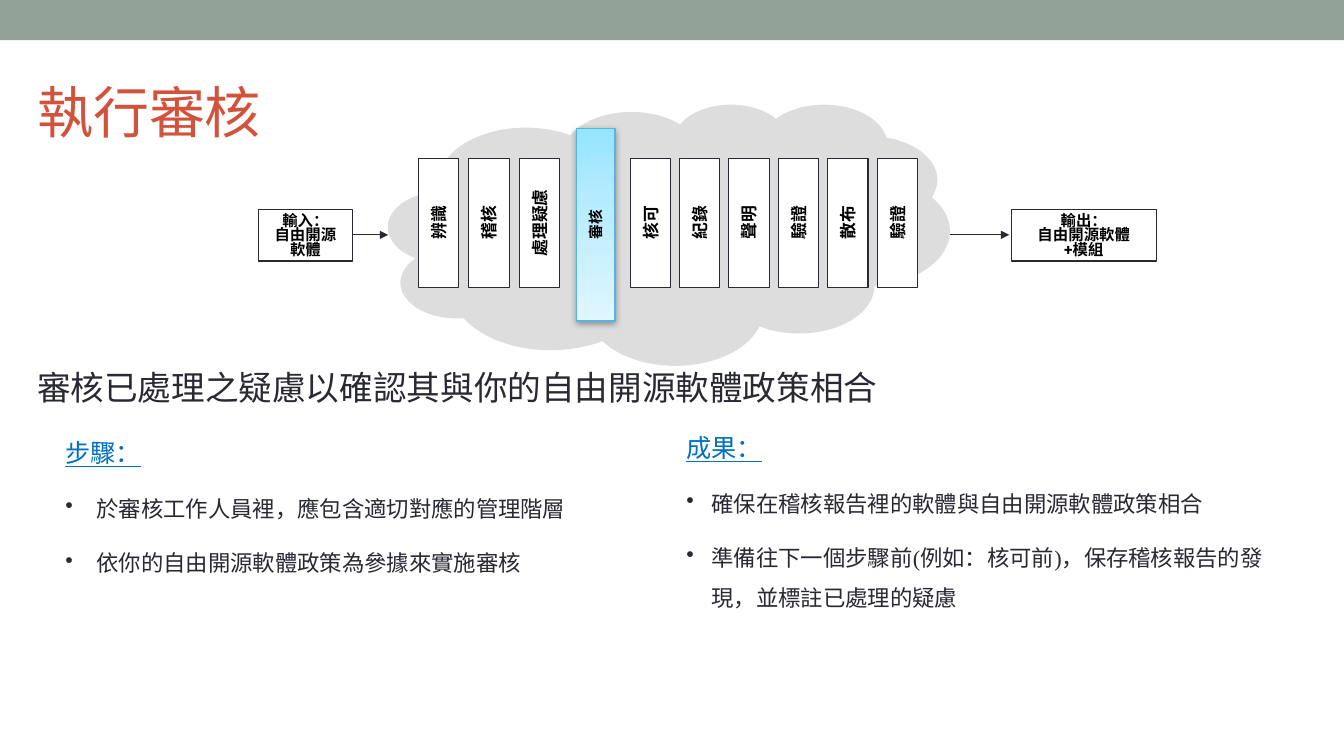
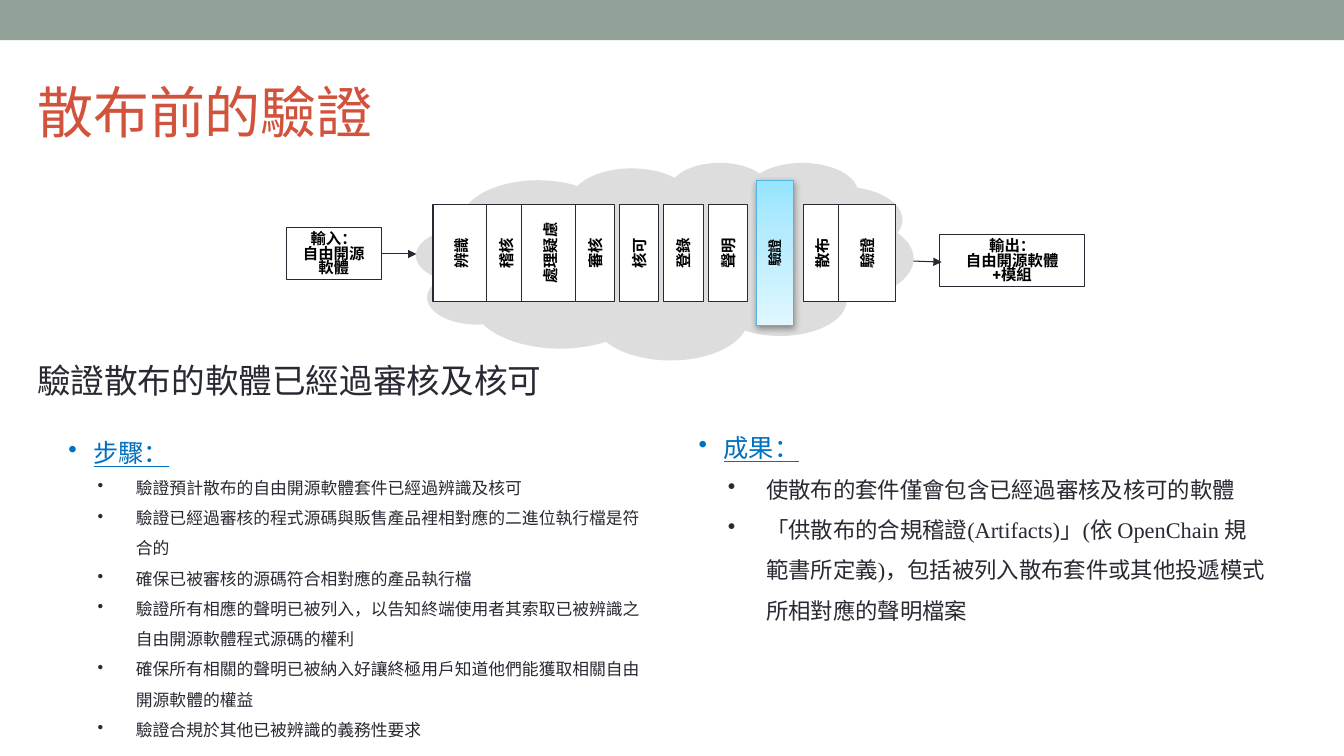
"""Build two slides on reviewing and verifying open source software."""
from lxml import etree
from pptx import Presentation
from pptx.dml.color import RGBColor
from pptx.enum.shapes import MSO_CONNECTOR, MSO_SHAPE
from pptx.enum.text import MSO_ANCHOR, PP_ALIGN
from pptx.oxml import parse_xml
from pptx.oxml.ns import nsdecls, qn
from pptx.util import Inches, Pt

RECT, CLOUD = MSO_SHAPE.RECTANGLE, MSO_SHAPE.CLOUD_CALLOUT
STRAIGHT = MSO_CONNECTOR.STRAIGHT
LEFT, CENTER = PP_ALIGN.LEFT, PP_ALIGN.CENTER
TOP, MIDDLE = MSO_ANCHOR.TOP, MSO_ANCHOR.MIDDLE

THEME = {
    "band": "93A299", "title": "D2533C", "ink": "292934", "head": "0070C0",
    "cloud": "DDDDDD", "white": "FFFFFF", "black": "000000", "edge": "55B4E5",
    "glow": ((0, "95E5FF"), (35, "B4EBFF"), (100, "E0F7FF")),
    "serif": "Times New Roman", "sans": "Roboto",
    "title_pt": 40, "lead_pt": 24, "head_pt": 18, "box_pt": 11, "line_pt": 0.75,
}
INPUT = ["輸入：", "自由開源軟體"]
OUTPUT = ["輸出：", "自由開源軟體", "+模組"]

SLIDES = [
    {
        "title": "執行審核",
        "lead": ("審核已處理之疑慮以確認其與你的自由開源軟體政策相合", 3.59),
        "cloud": (3.85, 1.03, 5.57, 2.59),
        "input": (2.56, 2.08), "output": (10.03, 2.08),
        "arrows": [(3.5, 2.33, 3.85, 2.33), (9.42, 2.33, 10.01, 2.33)],
        "bars": {"mid": 2.21, "long": 1.28, "thick": 0.4, "size": 12,
                 "groups": [(4.35, 0.5, ["辨識", "稽核", "處理疑慮"]),
                            (6.45, 0.49, ["核可", "紀錄", "聲明", "驗證", "散布", "驗證"])],
                 "wide": ()},
        "focus": ("審核", 5.91, 2.23, 0.38, 1.91, 10.5),
        "columns": [
            {"at": (6.71, 4.09, 5.94, 3.1), "head": "成果：", "mark": 0,
             "indent": (0.25, -0.25), "gap": 10, "size": 16,
             "items": ["確保在稽核報告裡的軟體與自由開源軟體政策相合",
                       "準備往下一個步驟前(例如：核可前)，保存稽核報告的發現，並標註已處理的疑慮"]},
            {"at": (0.55, 4.14, 5.86, 3.03), "head": "步驟：", "mark": 0,
             "indent": (0.31, -0.31), "gap": 10, "size": 16,
             "items": ["於審核工作人員裡，應包含適切對應的管理階層",
                       "依你的自由開源軟體政策為參據來實施審核"]},
        ],
    },
    {
        "title": "散布前的驗證",
        "lead": ("驗證散布的軟體已經過審核及核可", 3.52),
        "cloud": (4.13, 1.61, 4.93, 1.96),
        "input": (2.84, 2.26), "output": (9.32, 2.33),
        "arrows": [(3.78, 2.52, 4.13, 2.52), (9.06, 2.59, 9.34, 2.6)],
        "bars": {"mid": 2.51, "long": 0.97, "thick": 0.39, "size": 11,
                 "groups": [(4.58, 0.44, ["辨識", "稽核", "處理疑慮", "審核",
                                          "核可", "登錄", "聲明"]),
                            (8.16, 0.44, ["散布", "驗證"])],
                 "wide": ((4.58, 0.57), (5.46, 0.57), (8.6, 0.57))},
        "focus": ("驗證", 7.69, 2.51, 0.37, 1.44, 10),
        "columns": [
            {"at": (6.83, 4.09, 5.82, 2.93), "head": "成果：", "mark": 1,
             "indent": (0.67, -0.38), "gap": 0, "size": 16,
             "items": ["使散布的套件僅會包含已經過審核及核可的軟體",
                       "「供散布的合規稽證(Artifacts)」(依 OpenChain 規範書所定義)，"
                       "包括被列入散布套件或其他投遞模式所相對應的聲明檔案"]},
            {"at": (0.58, 4.14, 5.97, 3.03), "head": "步驟：", "mark": 1,
             "indent": (0.67, -0.38), "gap": 0, "size": 12,
             "items": ["驗證預計散布的自由開源軟體套件已經過辨識及核可",
                       "驗證已經過審核的程式源碼與販售產品裡相對應的二進位執行檔是符合的",
                       "確保已被審核的源碼符合相對應的產品執行檔",
                       "驗證所有相應的聲明已被列入，以告知終端使用者其索取已被辨識之自由開源軟體程式源碼的權利",
                       "確保所有相關的聲明已被納入好讓終極用戶知道他們能獲取相關自由開源軟體的權益",
                       "驗證合規於其他已被辨識的義務性要求"]},
        ],
    },
]


def color(name):
    return RGBColor.from_string(THEME[name])


def place(at):
    return [Inches(v) for v in at]


def draw(slide, kind, at, fill, line=None):
    shape = slide.shapes.add_shape(kind, *place(at))
    shape.shadow.inherit = False
    shape.fill.solid()
    shape.fill.fore_color.rgb = color(fill)
    if line:
        shape.line.color.rgb = color(line)
        shape.line.width = Pt(THEME["line_pt"])
    else:
        shape.line.fill.background()
    return shape


def style(para, size, ink, face, bold=False, under=False):
    for run in para.runs:
        font = run.font
        font.size, font.name = Pt(size), THEME[face]
        font.bold, font.underline = bold, under
        font.color.rgb = color(ink)


def write(shape, lines, size, ink, face, align=LEFT, anchor=TOP, bold=False, pitch=None):
    frame = shape.text_frame
    frame.word_wrap = True
    frame.vertical_anchor = anchor
    frame.text = "\n".join(lines)
    for para in frame.paragraphs:
        para.alignment = align
        if pitch:
            para.line_spacing = Pt(pitch)
        style(para, size, ink, face, bold)


def label(slide, at, text, size, ink):
    box = slide.shapes.add_textbox(*place(at))
    write(box, [text], size, ink, "serif", anchor=MIDDLE)


def arrow(slide, ends):
    line = slide.shapes.add_connector(STRAIGHT, *place(ends))
    line.line.color.rgb = color("ink")
    line.line.width = Pt(THEME["line_pt"])
    etree.SubElement(line.line._get_or_add_ln(), qn("a:tailEnd"), type="triangle")
    etree.SubElement(line._element.spPr, qn("a:effectLst"))


def turn(shape, text, size):
    shape.rotation = 270
    write(shape, [text], size, "black", "sans", CENTER, MIDDLE, True)


def span(x, y, wide, high):
    return x - wide / 2, y - high / 2, wide, high


def add_bars(slide, bars):
    wide = dict(bars["wide"])
    for start, step, names in bars["groups"]:
        for i, name in enumerate(names):
            x = round(start + i * step, 2)
            at = span(x, bars["mid"], bars["long"], wide.get(x, bars["thick"]))
            turn(draw(slide, RECT, at, "white", "ink"), name, bars["size"])


def add_focus(slide, text, x, y, wide, high, size):
    shape = draw(slide, RECT, span(x, y, wide, high), "white", "edge")
    props = shape._element.spPr
    stops = "".join(f'<a:gs pos="{pos * 1000}"><a:srgbClr val="{tint}"/></a:gs>'
                    for pos, tint in THEME["glow"])
    grad = parse_xml(f'<a:gradFill {nsdecls("a")} rotWithShape="1"><a:gsLst>{stops}</a:gsLst>'
                     '<a:lin ang="5400000" scaled="0"/></a:gradFill>')
    props.replace(props.find(qn("a:solidFill")), grad)
    shade = parse_xml(f'<a:outerShdw {nsdecls("a")} blurRad="{Pt(5)}" dist="{Pt(1.6)}" '
                      'dir="5400000" rotWithShape="0"><a:srgbClr val="000000">'
                      '<a:alpha val="38000"/></a:srgbClr></a:outerShdw>')
    props.find(qn("a:effectLst")).append(shade)
    box = slide.shapes.add_textbox(*place(span(x, y, high, wide)))
    turn(box, text, size)


def bullet(para, left, hang, ink):
    props = para._p.get_or_add_pPr()
    props.set("marL", str(Inches(left)))
    props.set("indent", str(Inches(hang)))
    tint = etree.SubElement(props, qn("a:buClr"))
    etree.SubElement(tint, qn("a:srgbClr"), val=THEME[ink])
    etree.SubElement(props, qn("a:buChar"), char="•")


def add_column(slide, col):
    frame = slide.shapes.add_textbox(*place(col["at"])).text_frame
    frame.word_wrap = True
    frame.text = "\n".join([col["head"], *col["items"]])
    head, *items = frame.paragraphs
    if col["mark"]:
        bullet(head, 0.25, -0.25, "head")
    head.line_spacing = 1.5
    style(head, THEME["head_pt"], "head", "serif", under=True)
    for para in items:
        bullet(para, *col["indent"], "ink")
        para.line_spacing = 1.5
        para.space_before = Pt(col["gap"])
        style(para, col["size"], "ink", "serif")


def add_end(slide, spot, wide, lines):
    box = draw(slide, RECT, (*spot, wide, 0.51), "white", "ink")
    write(box, lines, THEME["box_pt"], "black", "sans", CENTER, bold=True, pitch=10.5)


def build(deck, page):
    slide = deck.slides.add_slide(deck.slide_layouts[6])
    draw(slide, RECT, (0, 0, 13.33, 0.4), "band")
    cloud = draw(slide, CLOUD, page["cloud"], "cloud")
    cloud.adjustments[0], cloud.adjustments[1] = -0.007, 0.116
    add_focus(slide, *page["focus"])
    add_bars(slide, page["bars"])
    for col in page["columns"]:
        add_column(slide, col)
    lead, top = page["lead"]
    label(slide, (0.27, top, 13.06, 0.5), lead, THEME["lead_pt"], "ink")
    label(slide, (0.27, 0.56, 12, 1.08), page["title"], THEME["title_pt"], "title")
    add_end(slide, page["input"], 0.94, INPUT)
    add_end(slide, page["output"], 1.44, OUTPUT)
    for ends in page["arrows"]:
        arrow(slide, ends)


def main():
    deck = Presentation()
    deck.slide_width, deck.slide_height = Inches(13.33), Inches(7.5)
    for page in SLIDES:
        build(deck, page)
    deck.save("out.pptx")


if __name__ == "__main__":
    main()
